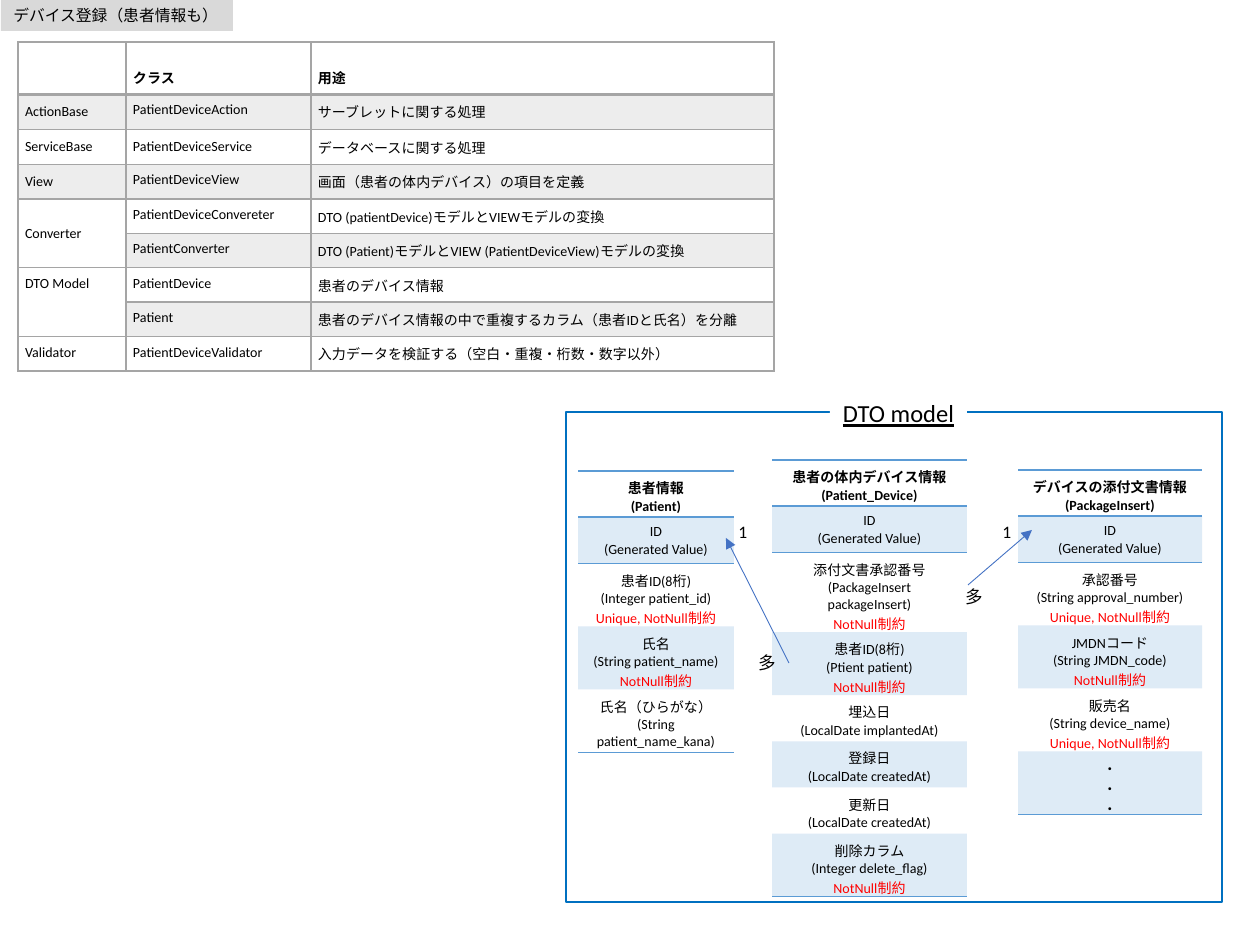
import pptx
import pptx.dml.color
import pptx.enum.shapes
import pptx.enum.text
import pptx.oxml.ns
import pptx.util
import lxml.etree

PX = 914400 / 126
BLACK, RED, GRAY, BLUE = "000000", "FF0000", "A5A5A5", "5B9BD5"
NO_GRID_STYLE = "{2D5ABB26-0587-4C30-8999-92F81FD0307C}"
ANCHORS = {
    "t": pptx.enum.text.MSO_ANCHOR.TOP,
    "m": pptx.enum.text.MSO_ANCHOR.MIDDLE,
    "b": pptx.enum.text.MSO_ANCHOR.BOTTOM,
}
CENTER = pptx.enum.text.PP_ALIGN.CENTER

CLASS_ROWS = [
    ("", "クラス", "用途"),
    ("ActionBase", "PatientDeviceAction", "サーブレットに関する処理"),
    ("ServiceBase", "PatientDeviceService", "データベースに関する処理"),
    ("View", "PatientDeviceView", "画面（患者の体内デバイス）の項目を定義"),
    ("Converter", "PatientDeviceConvereter", "DTO (patientDevice)モデルとVIEWモデルの変換"),
    ("", "PatientConverter", "DTO (Patient)モデルとVIEW (PatientDeviceView)モデルの変換"),
    ("DTO Model", "PatientDevice", "患者のデバイス情報"),
    ("", "Patient", "患者のデバイス情報の中で重複するカラム（患者IDと氏名）を分離"),
    ("Validator", "PatientDeviceValidator", "入力データを検証する（空白・重複・桁数・数字以外）"),
]
CLASS_ANCHORS = ["bbb", "mtt", "mmm", "mtt", "mtt", "ttt", "ttt", "ttt", "ttt"]

ID_ROW = ("ID", "(Generated Value)")
DEVICE = [
    ("患者の体内デバイス情報", "(Patient_Device)"),
    ID_ROW,
    ("添付文書承認番号", "(PackageInsert packageInsert)", "NotNull制約"),
    ("患者ID(8桁)", "(Ptient patient)", "NotNull制約"),
    ("埋込日", "(LocalDate implantedAt)"),
    ("登録日", "(LocalDate createdAt)"),
    ("更新日", "(LocalDate createdAt)"),
    ("削除カラム", "(Integer delete_flag)", "NotNull制約"),
]
PACKAGE_INSERT = [
    ("デバイスの添付文書情報", "(PackageInsert)"),
    ID_ROW,
    ("承認番号", "(String approval_number)", "Unique, NotNull制約"),
    ("JMDNコード", "(String JMDN_code)", "NotNull制約"),
    ("販売名", "(String device_name)", "Unique, NotNull制約"),
    ("・", "・", "・"),
]
PATIENT = [
    ("患者情報", "(Patient)"),
    ID_ROW,
    ("患者ID(8桁)", "(Integer patient_id)", "Unique, NotNull制約"),
    ("氏名", "(String patient_name)", "NotNull制約"),
    ("氏名（ひらがな）", "(String patient_name_kana)"),
]


def px(value):
    return pptx.util.Emu(round(value * PX))


def rgb(value):
    return pptx.dml.color.RGBColor.from_string(value)


def write_line(paragraph, text, size, color=BLACK, bold=False, underline=None, align=None):
    paragraph.alignment = align
    run = paragraph.add_run()
    run.text = text
    run.font.name = "Calibri"
    run.font.size = pptx.util.Pt(size)
    run.font.bold = bold
    run.font.underline = underline
    run.font.color.rgb = rgb(color)


def write_label(shape, text, size, **style):
    frame = shape.text_frame
    frame.word_wrap = False
    frame.auto_size = pptx.enum.text.MSO_AUTO_SIZE.SHAPE_TO_FIT_TEXT
    frame.vertical_anchor = ANCHORS["t"]
    write_line(frame.paragraphs[0], text, size, **style)


def add_rectangle(shapes, box, fill=None, line=None):
    shape = shapes.add_shape(pptx.enum.shapes.MSO_SHAPE.RECTANGLE, *map(px, box))
    shape.shadow.inherit = False
    if fill:
        shape.fill.solid()
        shape.fill.fore_color.rgb = rgb(fill)
    else:
        shape.fill.background()
    if line:
        shape.line.color.rgb = rgb(line)
        shape.line.width = pptx.util.Pt(1)
    else:
        shape.line.fill.background()
    return shape


def add_plain_table(slide, left, top, widths, heights):
    frame = slide.shapes.add_table(
        len(heights), len(widths), px(left), px(top), px(sum(widths)), px(sum(heights)))
    table = frame.table
    table.first_row = table.horz_banding = False
    style = next(table._tbl.iter(pptx.oxml.ns.qn("a:tableStyleId")))
    style.text = NO_GRID_STYLE
    for column, width in zip(table.columns, widths):
        column.width = px(width)
    for row, height in zip(table.rows, heights):
        row.height = px(height)
    return table


def paint_cell(cell, borders, color, tint):
    properties = cell._tc.get_or_add_tcPr()
    for side in "LRTB":
        if side in borders:
            line = lxml.etree.SubElement(
                properties, pptx.oxml.ns.qn("a:ln" + side), w=str(pptx.util.Pt(borders[side])))
            fill = lxml.etree.SubElement(line, pptx.oxml.ns.qn("a:solidFill"))
            lxml.etree.SubElement(fill, pptx.oxml.ns.qn("a:srgbClr"), val=color)
    if tint:
        cell.fill.solid()
        cell.fill.fore_color.rgb = rgb(color)
        color_element = properties.find(
            pptx.oxml.ns.qn("a:solidFill") + "/" + pptx.oxml.ns.qn("a:srgbClr"))
        lxml.etree.SubElement(color_element, pptx.oxml.ns.qn("a:alpha"), val="20000")
    else:
        cell.fill.background()


def add_class_table(slide, left, top):
    table = add_plain_table(slide, left, top, [108, 185, 463], [39, 35, 35] + [28] * 6)
    for first in (4, 6):
        table.cell(first, 0).merge(table.cell(first + 1, 0))
    for r, (texts, anchors) in enumerate(zip(CLASS_ROWS, CLASS_ANCHORS)):
        borders = {"L": 1, "R": 1, "T": 2 if r == 1 else 1, "B": 2 if r == 0 else 1}
        for c, (text, anchor) in enumerate(zip(texts, anchors)):
            cell = table.cell(r, c)
            paint_cell(cell, borders, GRAY, r % 2 == 1 and not cell.is_spanned)
            cell.margin_left = cell.margin_right = px(7)
            cell.margin_top = cell.margin_bottom = px(7)
            cell.vertical_anchor = ANCHORS[anchor]
            if text:
                write_line(cell.text_frame.paragraphs[0], text, 8, bold=r == 0)


def add_entity_table(slide, left, top, width, rows):
    table = add_plain_table(slide, left, top, [width], [12 + 17 * len(lines) for lines in rows])
    for r, lines in enumerate(rows):
        cell = table.cell(r, 0)
        borders = {"T": 1, "B": 1} if r == 0 else {"B": 1} if r == len(rows) - 1 else {}
        if r == 1:
            borders = {"T": 1}
        paint_cell(cell, borders, BLUE, r % 2 == 1)
        frame = cell.text_frame
        for i, text in enumerate(lines):
            paragraph = frame.add_paragraph() if i else frame.paragraphs[0]
            color = RED if "制約" in text else BLACK
            write_line(paragraph, text, 8, color, bold=r == 0, align=CENTER)


def add_relation(slide, start, end):
    connector = slide.shapes.add_connector(
        pptx.enum.shapes.MSO_CONNECTOR.STRAIGHT, *map(px, start + end))
    connector.line.color.rgb = rgb("4472C4")
    connector.line.width = pptx.util.Pt(0.5)
    line = connector.line._get_or_add_ln()
    lxml.etree.SubElement(line, pptx.oxml.ns.qn("a:tailEnd"), type="triangle")
    lxml.etree.SubElement(connector._element.spPr, pptx.oxml.ns.qn("a:effectLst"))


def add_dto_model(slide, left, top, width, height):
    group = slide.shapes.add_group_shape()
    add_rectangle(group.shapes, (left, top, width, height), line="0070C0")
    title = add_rectangle(group.shapes, (left + 264, top - 20, 137, 45), fill="FFFFFF")
    write_label(title, "DTO model", 14, underline=True, align=CENTER)

    for x, y, table_width, rows in (
            (206, 48, 195, DEVICE), (452, 58, 184, PACKAGE_INSERT), (12, 59, 156, PATIENT)):
        add_entity_table(slide, left + x, top + y, table_width, rows)
    for x1, y1, x2, y2 in ((402, 173, 466, 118), (223, 251, 160, 126)):
        add_relation(slide, (left + x1, top + y1), (left + x2, top + y2))
    for text, x, y, label_width in (
            ("1", 424, 103, 34), ("多", 387, 168, 43), ("多", 180, 234, 43), ("1", 160, 103, 34)):
        label = slide.shapes.add_textbox(px(left + x), px(top + y), px(label_width), px(34))
        write_label(label, text, 10)


def add_heading(slide, box):
    write_label(add_rectangle(slide.shapes, box, fill="D9D9D9"), "デバイス登録（患者情報も）", 9)


def main():
    presentation = pptx.Presentation()
    presentation.slide_width, presentation.slide_height = px(1260), px(945)
    slide = presentation.slides.add_slide(presentation.slide_layouts[6])
    add_class_table(slide, 18, 42)
    add_dto_model(slide, 566, 412, 656, 490)
    add_heading(slide, (1, 0, 232, 31))
    presentation.save("out.pptx")


if __name__ == "__main__":
    main()
